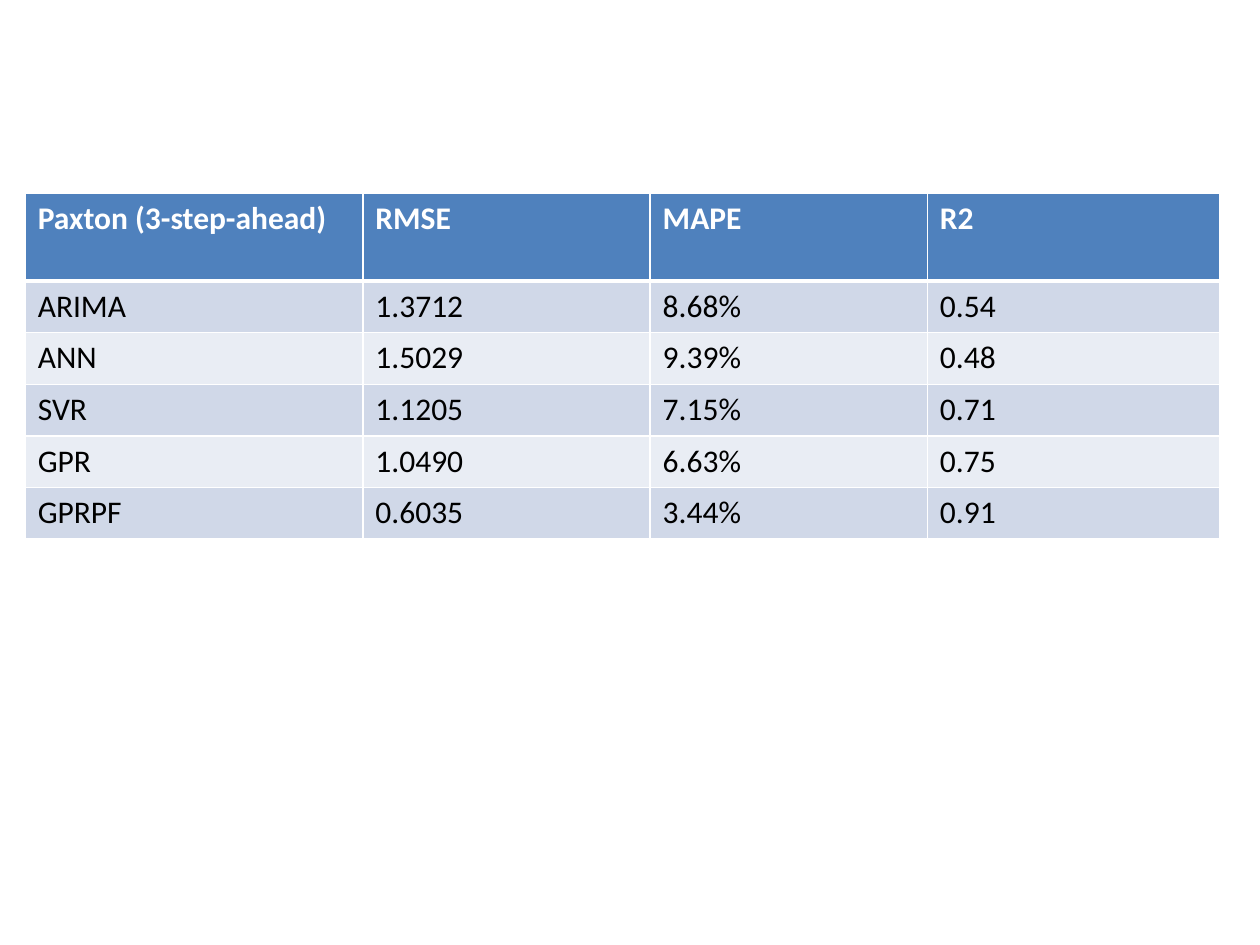
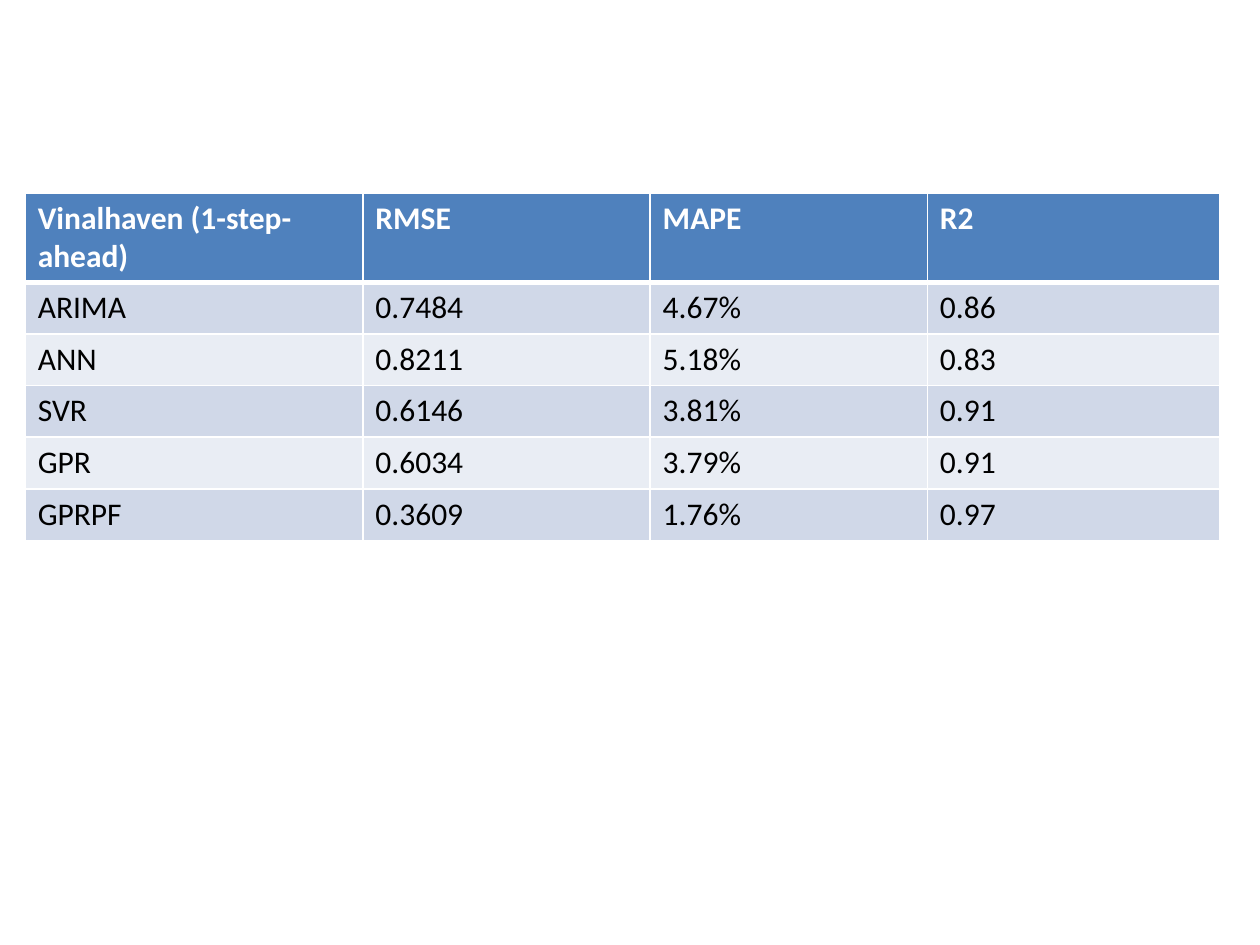
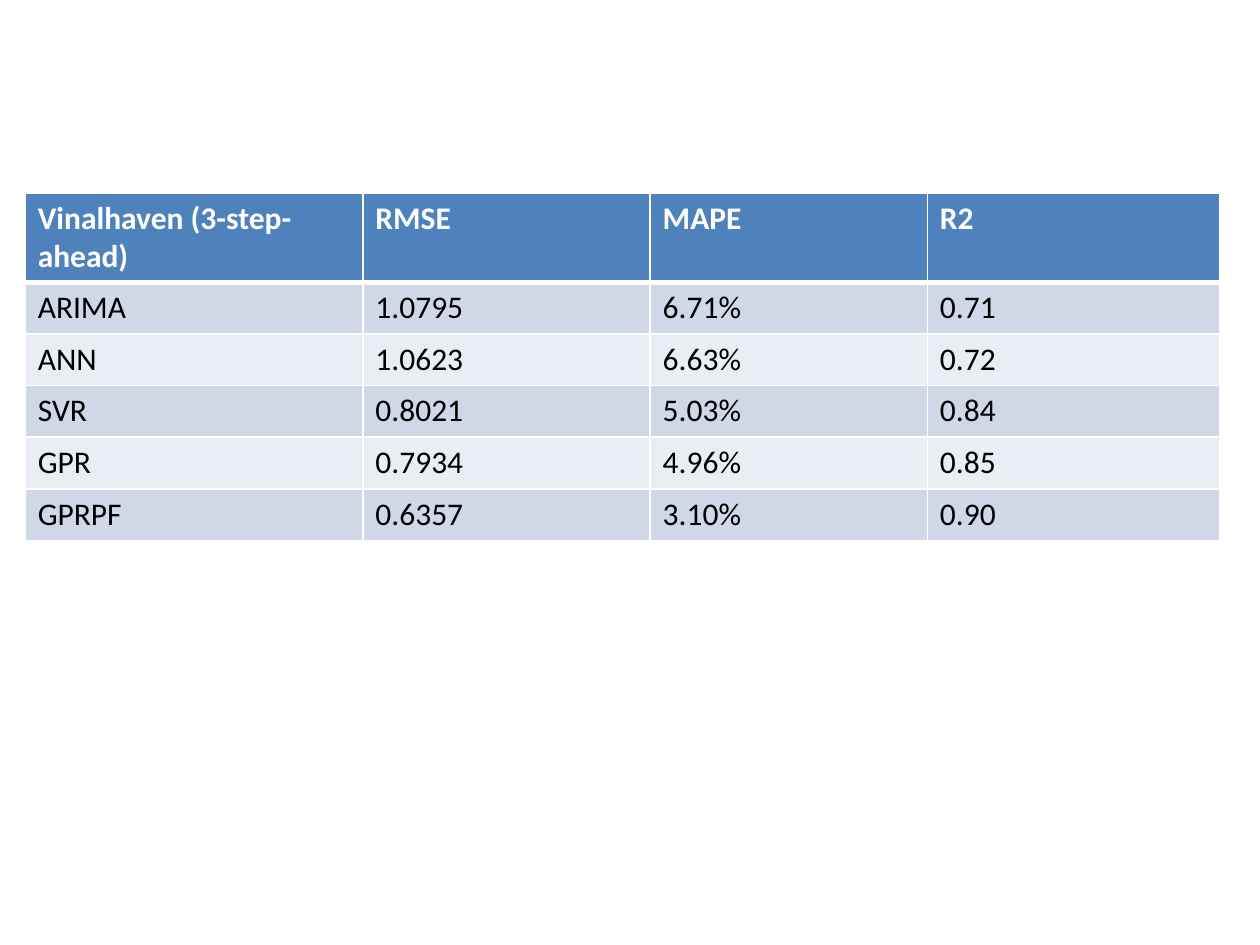
from lxml.etree import SubElement
from pptx import Presentation
from pptx.dml.color import RGBColor
from pptx.oxml.ns import qn
from pptx.util import Inches, Pt

WHITE = "FFFFFF"
HEADER_FILL = "4F81BD"
BAND_FILLS = ["D0D8E8", "E9EDF4"]
HEADER_FONT = {"name": "Calibri", "size": Pt(18), "bold": True}
BODY_FONT = {**HEADER_FONT, "bold": False}

TABLE_LEFT, TABLE_TOP = 0.2, 1.53
COLUMN_WIDTHS = [2.68, 2.28, 2.2, 2.32]
HEADER_HEIGHT, ROW_HEIGHT = 0.7, 0.41
THIN_BORDER, HEADER_BORDER = 1, 3

METRICS = ["RMSE", "MAPE", "R2"]
MODELS = ["ARIMA", "ANN", "SVR", "GPR", "GPRPF"]
RESULTS = {
    "Paxton (3-step-ahead)": [
        ["1.3712", "8.68%", "0.54"],
        ["1.5029", "9.39%", "0.48"],
        ["1.1205", "7.15%", "0.71"],
        ["1.0490", "6.63%", "0.75"],
        ["0.6035", "3.44%", "0.91"],
    ],
    "Vinalhaven (1-step-ahead)": [
        ["0.7484", "4.67%", "0.86"],
        ["0.8211", "5.18%", "0.83"],
        ["0.6146", "3.81%", "0.91"],
        ["0.6034", "3.79%", "0.91"],
        ["0.3609", "1.76%", "0.97"],
    ],
    "Vinalhaven (3-step-ahead)": [
        ["1.0795", "6.71%", "0.71"],
        ["1.0623", "6.63%", "0.72"],
        ["0.8021", "5.03%", "0.84"],
        ["0.7934", "4.96%", "0.85"],
        ["0.6357", "3.10%", "0.90"],
    ],
}


def color(hex_value):
    return RGBColor.from_string(hex_value)


def add_borders(cell, top, bottom):
    """Draw white borders; top and bottom are line widths in points."""
    properties = cell._tc.get_or_add_tcPr()
    widths = {"L": THIN_BORDER, "R": THIN_BORDER, "T": top, "B": bottom}
    for side, width in widths.items():
        line = SubElement(properties, qn(f"a:ln{side}"), w=str(Pt(width)))
        fill = SubElement(line, qn("a:solidFill"))
        SubElement(fill, qn("a:srgbClr"), val=WHITE)


def fill_cell(cell, text, fill, font_color, font_format):
    cell.fill.solid()
    cell.fill.fore_color.rgb = color(fill)
    run = cell.text_frame.paragraphs[0].add_run()
    run.text = text
    run.font.color.rgb = color(font_color)
    for attribute, value in font_format.items():
        setattr(run.font, attribute, value)


def add_results_table(slide, heading, scores):
    rows = [[heading, *METRICS]]
    rows += [[model, *values] for model, values in zip(MODELS, scores)]
    row_heights = [HEADER_HEIGHT] + [ROW_HEIGHT] * len(MODELS)
    table = slide.shapes.add_table(
        len(rows), len(COLUMN_WIDTHS), Inches(TABLE_LEFT), Inches(TABLE_TOP),
        Inches(sum(COLUMN_WIDTHS)), Inches(sum(row_heights))).table
    for column, width in zip(table.columns, COLUMN_WIDTHS):
        column.width = Inches(width)
    for index, (row, height, texts) in enumerate(zip(table.rows, row_heights, rows)):
        row.height = Inches(height)
        top = HEADER_BORDER if index == 1 else THIN_BORDER
        bottom = HEADER_BORDER if index == 0 else THIN_BORDER
        for cell, text in zip(row.cells, texts):
            add_borders(cell, top, bottom)
            if index == 0:
                fill_cell(cell, text, HEADER_FILL, WHITE, HEADER_FONT)
            else:
                band = BAND_FILLS[(index - 1) % len(BAND_FILLS)]
                fill_cell(cell, text, band, "000000", BODY_FONT)


def main():
    presentation = Presentation()
    presentation.slide_width = Inches(10)
    presentation.slide_height = Inches(7.5)
    blank_layout = presentation.slide_layouts[6]
    for heading, scores in RESULTS.items():
        slide = presentation.slides.add_slide(blank_layout)
        add_results_table(slide, heading, scores)
    presentation.save("out.pptx")


if __name__ == "__main__":
    main()
